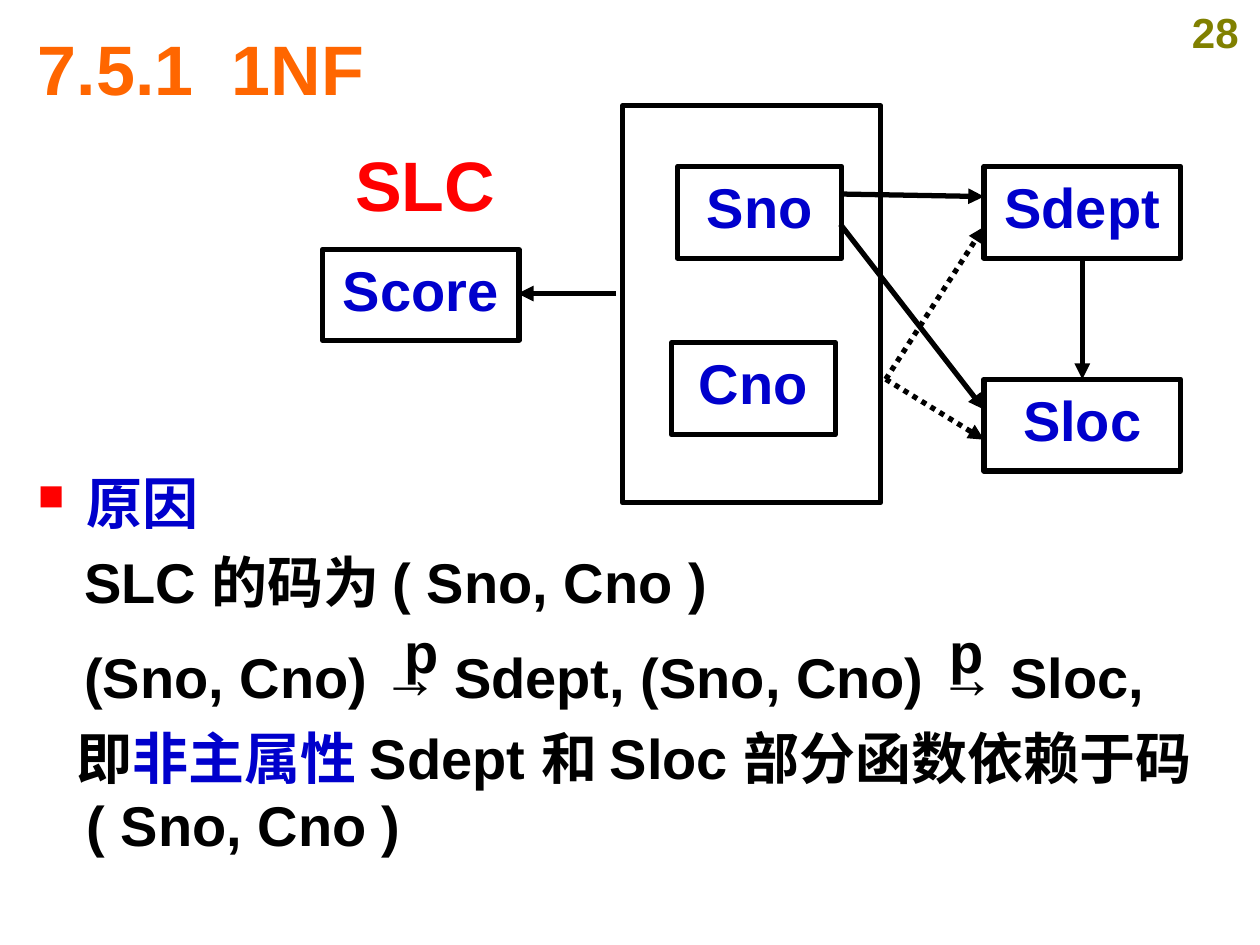
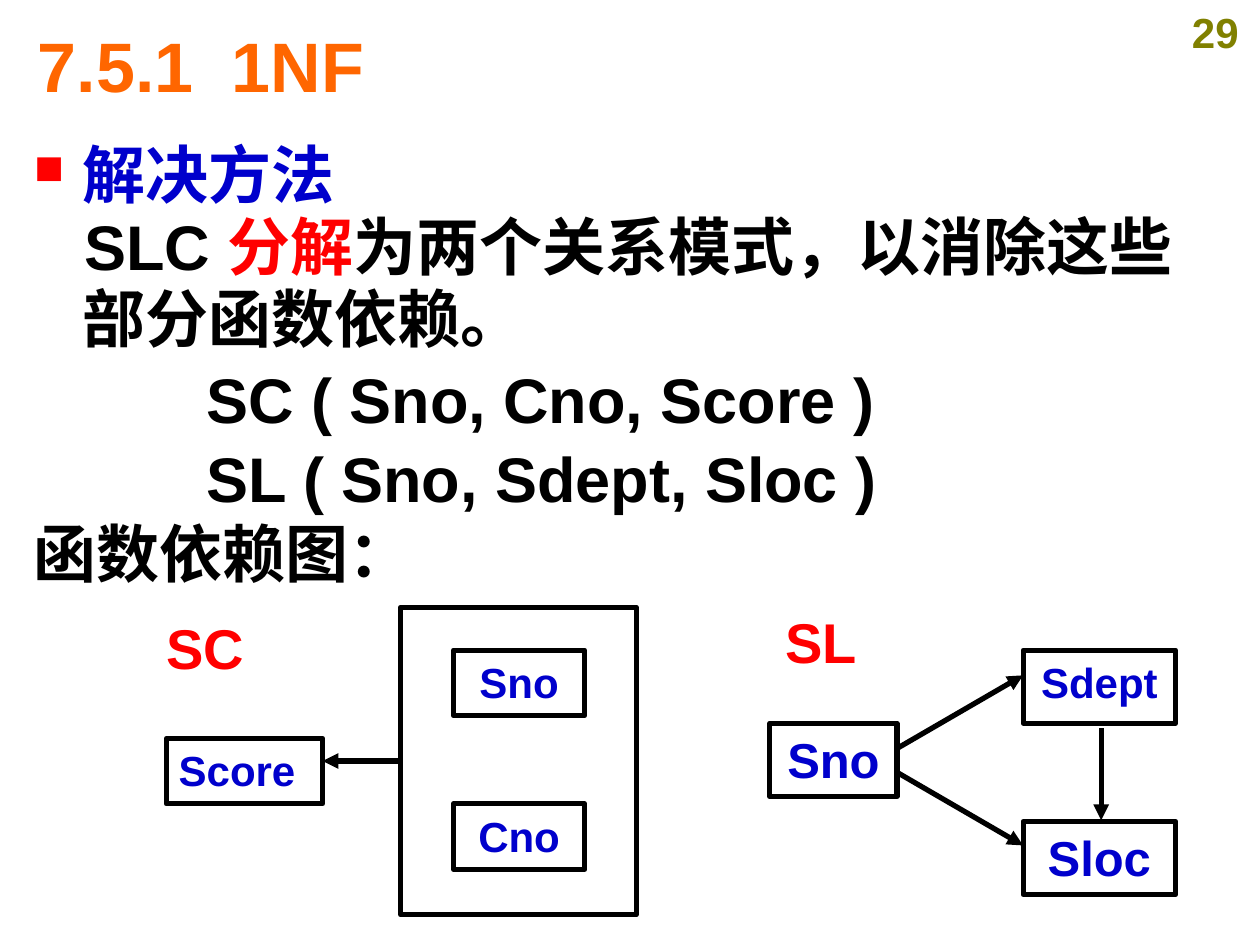
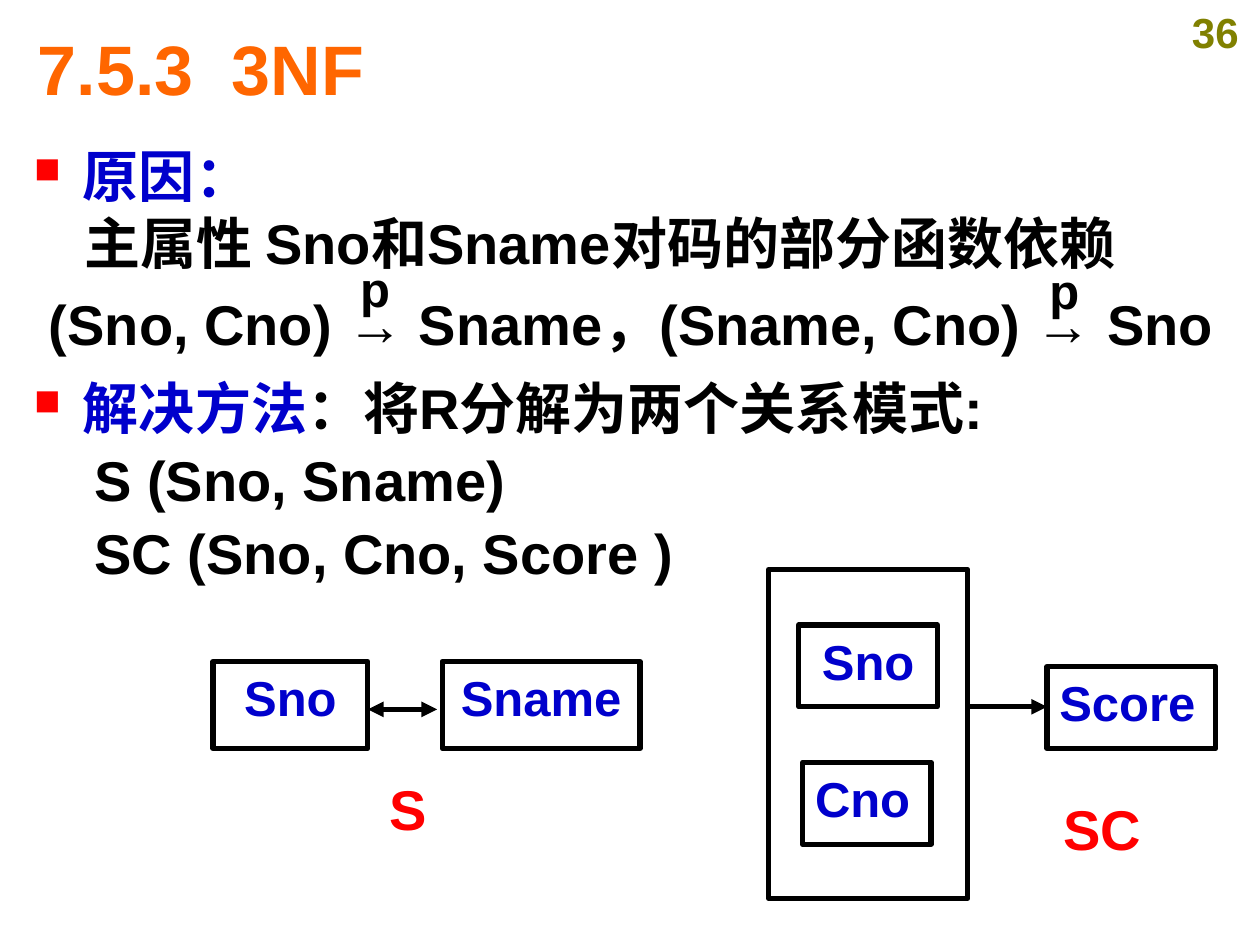
from dataclasses import dataclass
from typing import Any, NamedTuple

from lxml import etree
from pptx import Presentation
from pptx.dml.color import RGBColor
from pptx.enum.dml import MSO_LINE
from pptx.enum.shapes import MSO_CONNECTOR, MSO_SHAPE
from pptx.enum.text import MSO_ANCHOR, MSO_AUTO_SIZE, PP_ALIGN
from pptx.oxml.ns import qn
from pptx.util import Inches, Pt

LEFT, CENTER, JUSTIFY = PP_ALIGN.LEFT, PP_ALIGN.CENTER, PP_ALIGN.JUSTIFY
TOP, MIDDLE = MSO_ANCHOR.TOP, MSO_ANCHOR.MIDDLE
FIXED_SIZE = MSO_AUTO_SIZE.NONE
RECTANGLE = MSO_SHAPE.RECTANGLE
STRAIGHT = MSO_CONNECTOR.STRAIGHT
DOTTED = MSO_LINE.ROUND_DOT
TITLE_ONLY = 5


@dataclass(frozen=True)
class Theme:
    font: str = "Arial"
    black: str = "000000"
    blue: str = "0000CC"
    red: str = "FF0000"
    orange: str = "FF6600"
    olive: str = "808000"
    title_size: int = 40
    large_size: int = 36
    body_size: int = 32
    medium_size: int = 28
    small_size: int = 24
    line_width: int = 3
    bullet_percent: int = 65
    hanging: float = 0.39
    title_tab: float = 1.54


THEME = Theme()


class Area(NamedTuple):
    left: float
    top: float
    width: float
    height: float


class Run(NamedTuple):
    text: str
    color: str = THEME.black


class Line(NamedTuple):
    runs: list[Run]
    first: float = 0
    before: float = 0
    bullet: bool = False
    spacing: float | None = None
    margin: float = THEME.hanging


class Node(NamedTuple):
    text: str
    area: Area
    size: int = THEME.body_size
    align: Any = CENTER


class Label(NamedTuple):
    text: str
    area: Area
    color: str = THEME.red
    size: int = THEME.body_size
    align: Any = CENTER


class Arrow(NamedTuple):
    start: tuple[float, float]
    end: tuple[float, float]
    dotted: bool = False
    double: bool = False


class Page(NamedTuple):
    number: str
    title: str
    title_top: float
    body: Area
    body_size: int
    lines: list[Line]
    frame: Area
    nodes: list[Node]
    arrows: list[Arrow]
    labels: list[Label]


def apply_format(target: Any, values: dict[str, Any]) -> None:
    for name, value in values.items():
        setattr(target, name, value)


def to_inches(area: Area) -> list[int]:
    return [Inches(value) for value in area]


def format_font(font: Any, size: int, color: str) -> None:
    apply_format(font, {"name": THEME.font, "size": Pt(size), "bold": True})
    font.color.rgb = RGBColor.from_string(color)


def add_child(parent: Any, tag: str, **attributes: str) -> Any:
    return etree.SubElement(parent, qn(tag), attributes)


def write_text(shape: Any, text: str, size: int, color: str, align: Any, anchor: Any = TOP) -> Any:
    frame = shape.text_frame
    apply_format(frame, {"word_wrap": True, "auto_size": FIXED_SIZE, "vertical_anchor": anchor})
    paragraph = frame.paragraphs[0]
    paragraph.alignment = align
    run = paragraph.add_run()
    run.text = text
    format_font(run.font, size, color)
    return paragraph


def add_title(slide: Any, text: str, top: float) -> None:
    title = slide.shapes.title
    left, top, width, height = to_inches(Area(0.2, top, 9.47, 0.76))
    apply_format(title, {"left": left, "top": top, "width": width, "height": height})
    paragraph = write_text(title, text, THEME.title_size, THEME.orange, LEFT, MIDDLE)
    stops = add_child(paragraph._p.get_or_add_pPr(), "a:tabLst")
    add_child(stops, "a:tab", pos=str(Inches(THEME.title_tab)), algn="l")


def add_label(slide: Any, label: Label) -> None:
    box = slide.shapes.add_textbox(*to_inches(label.area))
    write_text(box, label.text, label.size, label.color, label.align)


def add_rectangle(slide: Any, area: Area) -> Any:
    shape = slide.shapes.add_shape(RECTANGLE, *to_inches(area))
    shape.shadow.inherit = False
    shape.fill.background()
    shape.line.color.rgb = RGBColor.from_string(THEME.black)
    shape.line.width = Pt(THEME.line_width)
    return shape


def add_node(slide: Any, node: Node) -> None:
    write_text(add_rectangle(slide, node.area), node.text, node.size, THEME.blue, node.align)


def add_arrow(slide: Any, arrow: Arrow) -> None:
    points = [Inches(value) for value in (*arrow.start, *arrow.end)]
    connector = slide.shapes.add_connector(STRAIGHT, *points)
    line = connector.line
    line.color.rgb = RGBColor.from_string(THEME.black)
    line.width = Pt(THEME.line_width)
    if arrow.dotted:
        line.dash_style = DOTTED
    properties = connector._element.spPr
    outline = properties.find(qn("a:ln"))
    if arrow.double:
        add_child(outline, "a:headEnd", type="triangle")
    add_child(outline, "a:tailEnd", type="triangle")
    add_child(properties, "a:effectLst")


def add_body(slide: Any, area: Area, size: int, lines: list[Line]) -> None:
    frame = slide.shapes.add_textbox(*to_inches(area)).text_frame
    frame.word_wrap = True
    for index, line in enumerate(lines):
        paragraph = frame.add_paragraph() if index else frame.paragraphs[0]
        properties = paragraph._p.get_or_add_pPr()
        properties.set("marL", str(Inches(line.margin)))
        properties.set("indent", str(Inches(line.first - line.margin)))
        if line.bullet:
            color = add_child(properties, "a:buClr")
            add_child(color, "a:srgbClr", val=THEME.red)
            add_child(properties, "a:buSzPct", val=str(THEME.bullet_percent * 1000))
            add_child(properties, "a:buChar", char="■")
        apply_format(paragraph, {"space_before": Pt(line.before), "line_spacing": line.spacing})
        for text, run_color in line.runs:
            run = paragraph.add_run()
            run.text = text
            format_font(run.font, size, run_color)


def add_page(presentation: Any, page: Page) -> None:
    slide = presentation.slides.add_slide(presentation.slide_layouts[TITLE_ONLY])
    number = Label(page.number, Area(9.29, 0, 0.71, 0.5), THEME.olive, THEME.small_size)
    add_label(slide, number)
    add_title(slide, page.title, page.title_top)
    add_body(slide, page.body, page.body_size, page.lines)
    add_rectangle(slide, page.frame)
    for node in page.nodes:
        add_node(slide, node)
    for arrow in page.arrows:
        add_arrow(slide, arrow)
    for label in page.labels:
        add_label(slide, label)


def partial_marks(size: int, height: float, *corners: tuple[float, float]) -> list[Label]:
    return [Label("p", Area(left, top, 0.39, height), THEME.black, size) for left, top in corners]


WIDE_BODY = Area(0.17, 1.07, 9.68, 5.99)

FIRST_FORM_CAUSE = Page(
    number="28",
    title="7.5.1\t1NF",
    title_top=0.16,
    body=Area(0.2, 3.67, 9.37, 3.39),
    body_size=THEME.body_size,
    lines=[
        Line([Run("原因", THEME.blue)], bullet=True),
        Line([Run("SLC 的码为 ( Sno, Cno )")], first=0.37, before=6.4),
        Line([Run("(Sno, Cno) → Sdept, (Sno, Cno) → Sloc,")], first=0.37, before=16),
        Line(
            [
                Run("即"),
                Run("非主属性 ", THEME.blue),
                Run("Sdept 和 Sloc 部分函数依赖于码 ( Sno, Cno )"),
            ],
            first=0.31,
            before=8,
        ),
    ],
    frame=Area(4.94, 0.84, 2.05, 3.15),
    nodes=[
        Node("Sno", Area(5.38, 1.32, 1.3, 0.73)),
        Node("Cno", Area(5.33, 2.72, 1.3, 0.73)),
        Node("Score", Area(2.56, 1.98, 1.56, 0.72)),
        Node("Sdept", Area(7.81, 1.32, 1.56, 0.73)),
        Node("Sloc", Area(7.81, 3.01, 1.56, 0.73)),
    ],
    arrows=[
        Arrow((4.89, 2.33), (4.11, 2.33)),
        Arrow((6.67, 1.54), (7.81, 1.56)),
        Arrow((6.67, 1.78), (7.81, 3.25)),
        Arrow((7.03, 3.01), (7.81, 1.8), dotted=True),
        Arrow((7.03, 3.01), (7.81, 3.49), dotted=True),
        Arrow((8.59, 2.05), (8.59, 3.01)),
    ],
    labels=[
        Label("SLC", Area(2.72, 1.07, 1.56, 0.72), size=THEME.title_size, align=JUSTIFY),
        *partial_marks(THEME.body_size, 0.63, (3.11, 4.85), (7.44, 4.85)),
    ],
)

FIRST_FORM_SOLUTION = Page(
    number="29",
    title="7.5.1\t1NF",
    title_top=0.13,
    body=WIDE_BODY,
    body_size=THEME.large_size,
    lines=[
        Line([Run("解决方法", THEME.blue)], bullet=True, spacing=0.95),
        Line(
            [
                Run("SLC "),
                Run("分解", THEME.red),
                Run("为两个关系模式，以消除这些部分函数依赖。"),
            ],
            first=0.4,
            spacing=0.95,
        ),
        Line([Run("SC ( Sno, Cno, Score )")], first=1.37, before=2, margin=1.37),
        Line([Run("SL ( Sno, Sdept, Sloc )")], first=1.37, before=2, margin=1.37),
        Line([Run("函数依赖图：")]),
    ],
    frame=Area(3.18, 4.82, 1.87, 2.44),
    nodes=[
        Node("Sno", Area(3.6, 5.16, 1.04, 0.52), THEME.small_size),
        Node("Cno", Area(3.6, 6.38, 1.04, 0.52), THEME.small_size),
        Node("Score", Area(1.32, 5.86, 1.24, 0.52), THEME.small_size, LEFT),
        Node("Sno", Area(6.11, 5.74, 1.01, 0.58), THEME.medium_size),
        Node("Sdept", Area(8.12, 5.16, 1.21, 0.58), THEME.small_size),
        Node("Sloc", Area(8.12, 6.52, 1.21, 0.58), THEME.medium_size),
    ],
    arrows=[
        Arrow((3.18, 6.04), (2.56, 6.04)),
        Arrow((7.12, 5.94), (8.12, 5.36)),
        Arrow((7.12, 6.13), (8.12, 6.71)),
        Arrow((8.74, 5.78), (8.74, 6.51)),
    ],
    labels=[
        Label("SC", Area(1.11, 4.82, 1.04, 0.52)),
        Label("SL", Area(5.91, 4.77, 1.21, 0.58)),
    ],
)

THIRD_FORM = Page(
    number="36",
    title="7.5.3\t3NF",
    title_top=0.16,
    body=WIDE_BODY,
    body_size=THEME.body_size,
    lines=[
        Line([Run("原因：", THEME.blue)], bullet=True),
        Line([Run("主属性 Sno和Sname对码的部分函数依赖")], first=0.4),
        Line([Run("(Sno, Cno) → Sname，(Sname, Cno) → Sno")], first=0.12, before=8),
        Line(
            [Run("解决方法", THEME.blue), Run("：将R分解为两个关系模式:")],
            before=9.6,
            bullet=True,
        ),
        Line([Run("S (Sno, Sname)")], first=0.48, before=3),
        Line([Run("SC (Sno, Cno, Score )")], first=0.48, before=3),
    ],
    frame=Area(6.1, 4.52, 1.58, 2.61),
    nodes=[
        Node("Sno", Area(6.34, 4.96, 1.1, 0.65), THEME.medium_size),
        Node("Cno", Area(6.37, 6.05, 1.02, 0.65), THEME.medium_size, LEFT),
        Node("Score", Area(8.31, 5.29, 1.34, 0.65), THEME.medium_size, LEFT),
        Node("Sno", Area(1.69, 5.25, 1.23, 0.69), THEME.medium_size),
        Node("Sname", Area(3.51, 5.25, 1.57, 0.69), THEME.medium_size),
    ],
    arrows=[
        Arrow((7.68, 5.61), (8.31, 5.61)),
        Arrow((2.92, 5.63), (3.47, 5.63), double=True),
    ],
    labels=[
        *partial_marks(THEME.medium_size, 0.57, (2.76, 2), (8.23, 2.02)),
        Label("SC", Area(8.23, 6.26, 1.04, 0.76)),
        Label("S", Area(2.72, 6.1, 1.04, 0.76)),
    ],
)


def main() -> None:
    presentation = Presentation()
    apply_format(presentation, {"slide_width": Inches(10), "slide_height": Inches(7.5)})
    for page in (FIRST_FORM_CAUSE, FIRST_FORM_SOLUTION, THIRD_FORM):
        add_page(presentation, page)
    presentation.save("out.pptx")


if __name__ == "__main__":
    main()
